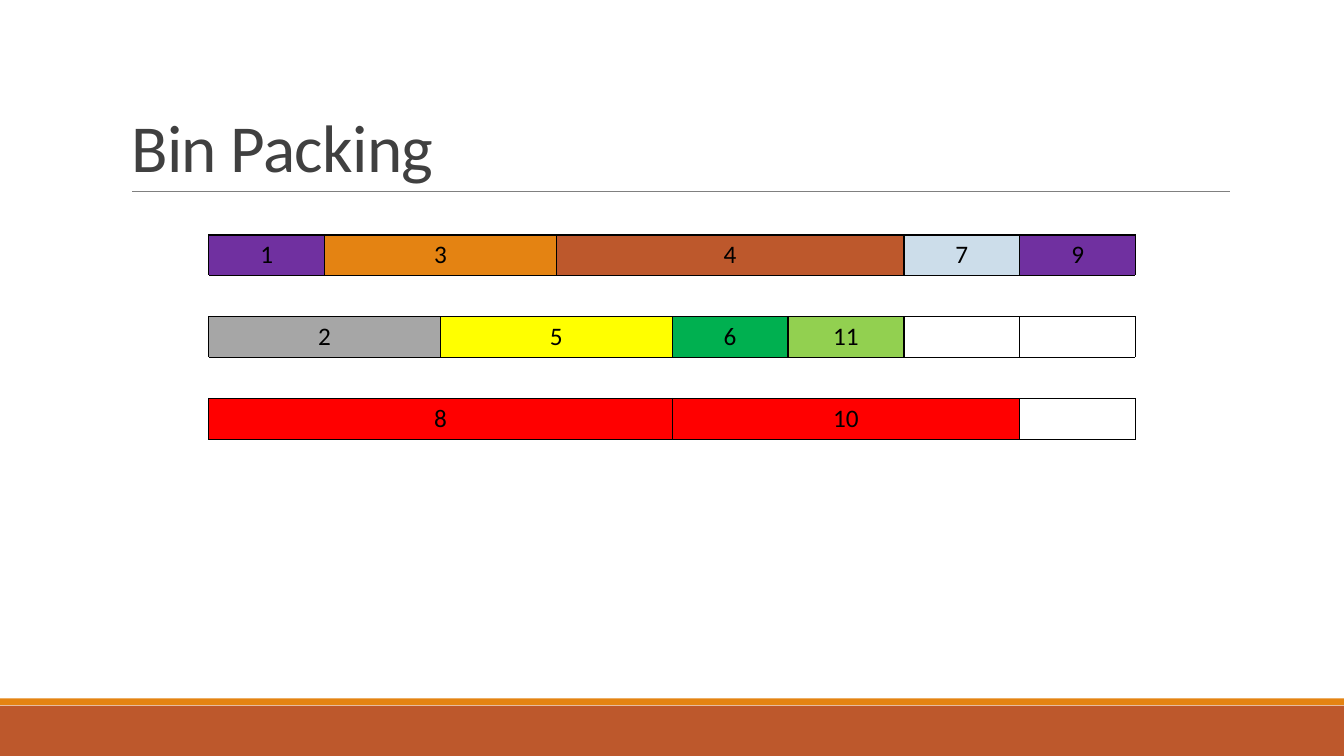
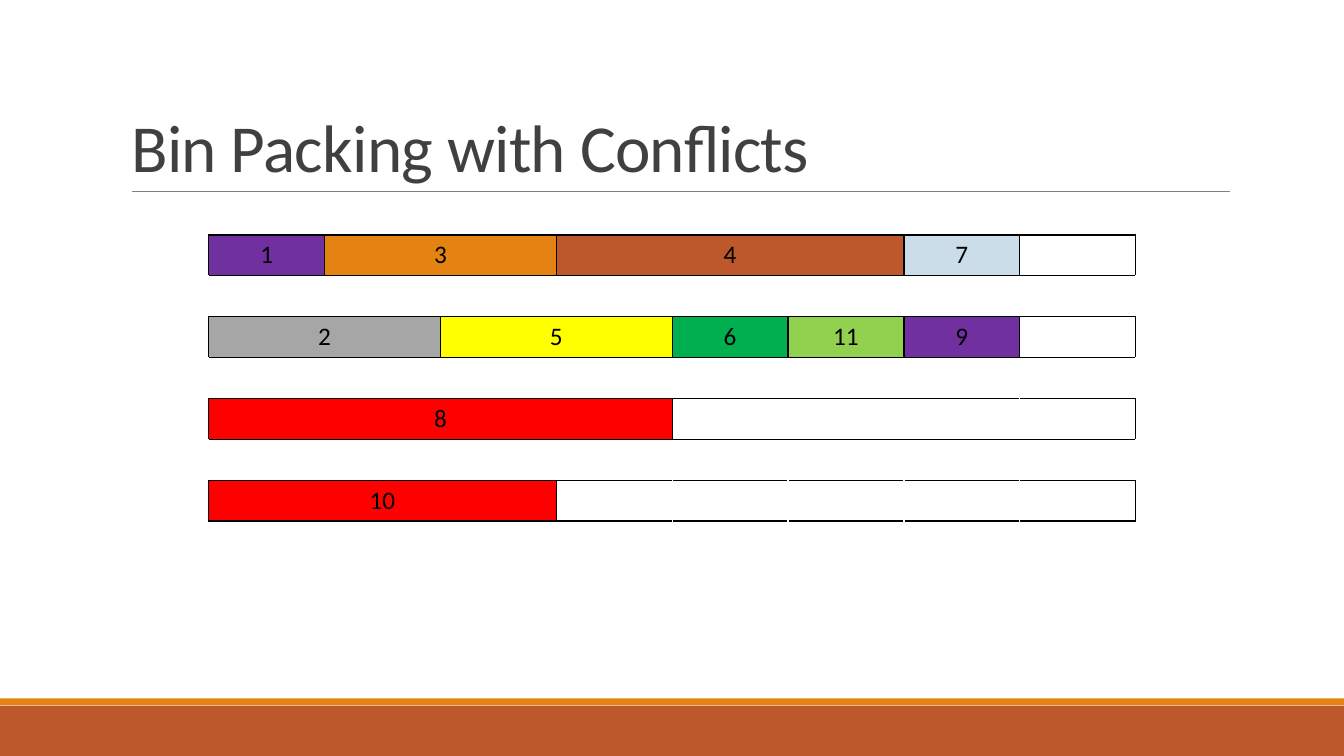
import pptx
import pptx.dml.color
import pptx.enum.shapes
import pptx.enum.text
import pptx.util
from lxml import etree
from pptx.oxml.ns import qn

Cm = pptx.util.Cm
Pt = pptx.util.Pt

WIDTH, HEIGHT = 33.87, 19.05
FONT = "Calibri"
BLACK, WHITE, DARK, GREY = "000000", "FFFFFF", "404040", "808080"
RUST, ORANGE = "BD582C", "E48312"
RULE_TOP = 4.82

SLOTS, SLOT, ROW = 8, 2.92, 1.03

# number: (slots taken, colour)
ITEMS = {
    1: (1, "7030A0"), 2: (2, "A6A6A6"), 3: (2, ORANGE), 4: (3, RUST),
    5: (2, "FFFF00"), 6: (1, "00B050"), 7: (1, "CCDDEA"), 8: (4, "FF0000"),
    9: (1, "7030A0"), 10: (3, "FF0000"), 11: (1, "92D050"),
}

# each bin: (items, free areas); an area lists the widths of its cells
PLAIN = [([1, 3, 4, 7, 9], []), ([2, 5, 6, 11], [[1], [1]]), ([8, 10], [[1]])]
CLASH = [([1, 3, 4, 7], [[1]]), ([2, 5, 6, 11, 9], [[1]]),
         ([8], [[3, 1]]), ([10], [[1] * 5])]


def color(code):
    return pptx.dml.color.RGBColor.from_string(code)


def style(para, size, code):
    para.font.name = FONT
    para.font.size = Pt(size)
    para.font.color.rgb = color(code)


def band(slide, top, height, code):
    shape = slide.shapes.add_shape(
        pptx.enum.shapes.MSO_SHAPE.RECTANGLE,
        0, Cm(top), Cm(WIDTH), Cm(height))
    shape.shadow.inherit = False
    shape.fill.solid()
    shape.fill.fore_color.rgb = color(code)
    shape.line.fill.background()


def rule(slide, left, right, top):
    line = slide.shapes.add_connector(
        pptx.enum.shapes.MSO_CONNECTOR.STRAIGHT,
        Cm(left), Cm(top), Cm(right), Cm(top))
    line.line.color.rgb = color(GREY)
    line.line.width = Pt(0.5)
    etree.SubElement(line._element.spPr, qn("a:effectLst"))


def title(slide, text):
    top = 0.79
    box = slide.shapes.add_textbox(
        Cm(3.06), Cm(top), Cm(27.94), Cm(RULE_TOP - top))
    frame = box.text_frame
    frame.word_wrap = True
    frame.vertical_anchor = pptx.enum.text.MSO_ANCHOR.BOTTOM
    para = frame.paragraphs[0]
    para.text = text
    para.line_spacing = 0.85
    style(para, 48, DARK)
    para._p.get_or_add_pPr().get_or_add_defRPr().set("spc", "-50")


def border(cell, sides):
    """Draw a thin black line on the given sides, a string in LRTB order."""
    props = cell._tc.get_or_add_tcPr()
    for side in sides:
        line = etree.SubElement(props, qn("a:ln" + side), w=str(Pt(1)))
        fill = etree.SubElement(line, qn("a:solidFill"))
        etree.SubElement(fill, qn("a:srgbClr"), val=BLACK)


def block(table, row, col, span, code, text="", sides="LRTB"):
    """Merge a run of slots into one filled cell with the given lines."""
    last = col + span - 1
    for spot in range(col, last + 1):
        cell = table.cell(row, spot)
        border(cell, sides)
        cell.fill.solid()
        cell.fill.fore_color.rgb = color(code)
    first = table.cell(row, col)
    if span > 1:
        first.merge(table.cell(row, last))
    para = first.text_frame.paragraphs[0]
    para.text = text
    para.alignment = pptx.enum.text.PP_ALIGN.CENTER
    style(para, 18, BLACK)


def space(table, row, col, area):
    """Draw one free area, with left and right lines at its ends only."""
    for index, span in enumerate(area):
        left = "L" if index == 0 else ""
        right = "R" if index == len(area) - 1 else ""
        block(table, row, col, span, WHITE, sides=left + right + "TB")
        col += span


def pack(slide, bins):
    """Show each bin as a table row, with an open row between bins."""
    count = 2 * len(bins) - 1
    table = slide.shapes.add_table(
        count, SLOTS, Cm(5.26), Cm(5.92),
        Cm(SLOTS * SLOT), Cm(count * ROW)).table
    table.first_row = table.horz_banding = False
    for col in table.columns:
        col.width = Cm(SLOT)
    for row in table.rows:
        row.height = Cm(ROW)
    for index, (items, areas) in enumerate(bins):
        row, col = 2 * index, 0
        if index:
            block(table, row - 1, 0, SLOTS, WHITE, sides="TB")
        for item in items:
            span, code = ITEMS[item]
            block(table, row, col, span, code, str(item))
            col += span
        for area in areas:
            space(table, row, col, area)
            col += sum(area)


def page(deck, text, bins):
    slide = deck.slides.add_slide(deck.slide_layouts[6])
    band(slide, 17.78, 1.27, RUST)
    band(slide, 17.6, 0.17, ORANGE)
    rule(slide, 3.33, 31, RULE_TOP)
    title(slide, text)
    pack(slide, bins)


def main():
    deck = pptx.Presentation()
    deck.slide_width, deck.slide_height = Cm(WIDTH), Cm(HEIGHT)
    page(deck, "Bin Packing", PLAIN)
    page(deck, "Bin Packing with Conflicts", CLASH)
    deck.save("out.pptx")


if __name__ == "__main__":
    main()
